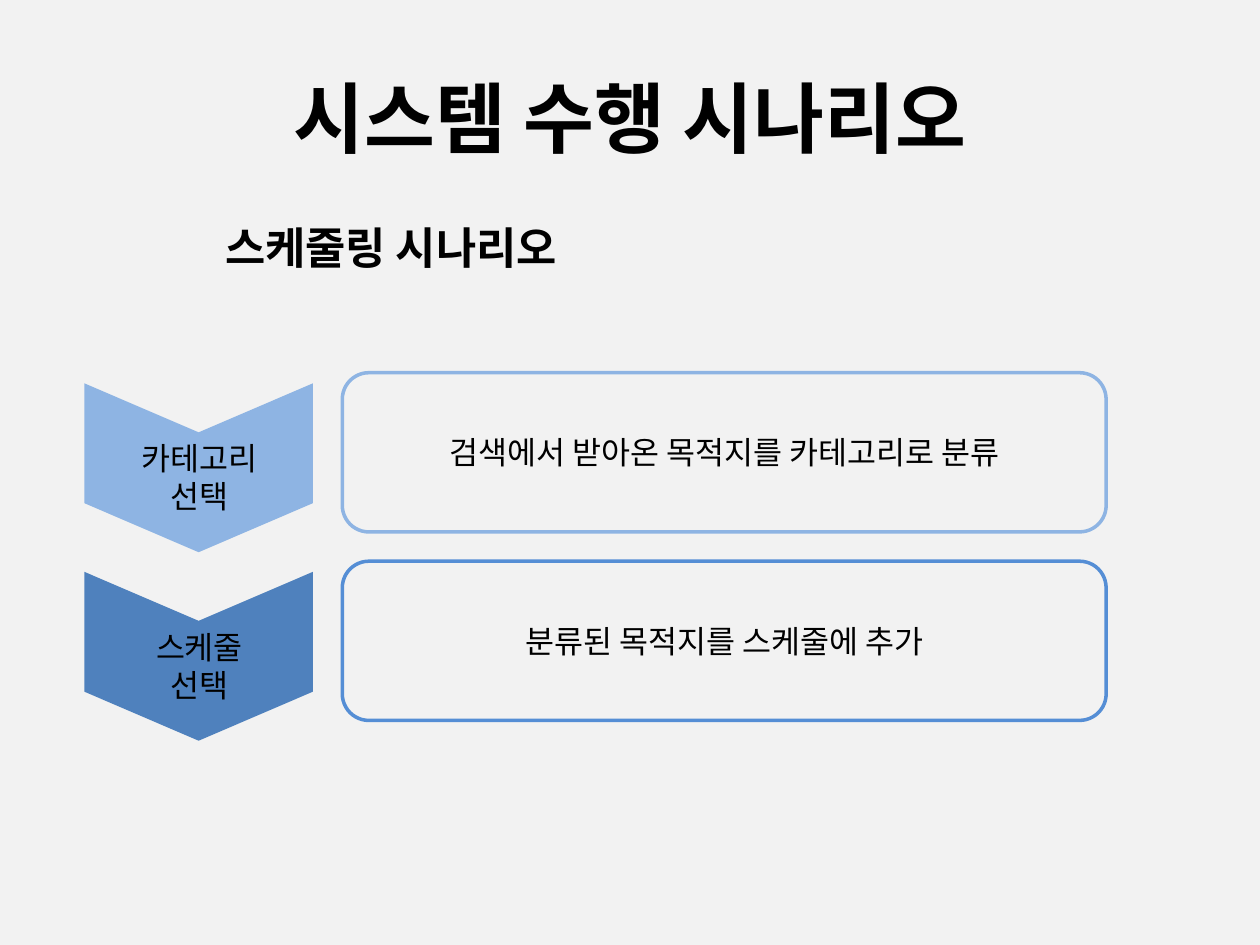
"""Build the scheduling scenario slide."""
import pptx
import pptx.util
import pptx.dml.color
import pptx.enum.shapes
import pptx.enum.text
import lxml.etree

Pt = pptx.util.Pt
Kind = pptx.enum.shapes.MSO_SHAPE
Align = pptx.enum.text.PP_ALIGN
Anchor = pptx.enum.text.MSO_ANCHOR
Fit = pptx.enum.text.MSO_AUTO_SIZE
FACE = "Noto Sans CJK KR"


def color(code):
    return pptx.dml.color.RGBColor.from_string(code)


def write(shape, text, size=18, bold=False, align=Align.CENTER,
          anchor=Anchor.MIDDLE, wrap=True, fit=Fit.NONE):
    frame = shape.text_frame
    frame.word_wrap = wrap
    frame.auto_size = fit
    frame.vertical_anchor = anchor
    frame.text = text
    for para in frame.paragraphs:
        para.alignment = align
        for run in para.runs:
            font = run.font
            font.name = FACE
            font.size = Pt(size)
            font.bold = bold
            font.color.rgb = color("000000")
            tag = pptx.oxml.ns.qn("a:ea")
            lxml.etree.SubElement(run._r.get_or_add_rPr(), tag, typeface=FACE)


deck = pptx.Presentation()
deck.slide_width = Pt(720)
deck.slide_height = Pt(540)
slide = deck.slides.add_slide(deck.slide_layouts[6])
slide.background.fill.solid()
slide.background.fill.fore_color.rgb = color("F2F2F2")
shapes = slide.shapes

title = shapes.add_textbox(Pt(36), Pt(21.6), Pt(648), Pt(90))
write(title, "시스템 수행 시나리오", size=44, bold=True)

steps = [
    ("카테고리\n선택", 87, "8EB4E3", "8EB4E3",
     "검색에서 받아온 목적지를 카테고리로 분류"),
    ("스케줄\n선택", 69, "4F81BD", "558ED5",
     "분류된 목적지를 스케줄에 추가"),
]
mid = 113.5
for row, (label, width, fill, edge, detail) in enumerate(steps):
    top = 213 + row * 107.7

    arrow = shapes.add_shape(
        Kind.CHEVRON, Pt(mid - 48.25), Pt(top - 10.9), Pt(96.5), Pt(130.5))
    arrow.rotation = 90
    arrow.adjustments[0] = 0.29
    arrow.shadow.inherit = False
    arrow.fill.solid()
    arrow.fill.fore_color.rgb = color(fill)
    arrow.line.fill.background()

    name = shapes.add_textbox(
        Pt(mid + 0.5 - width / 2), Pt(top + 34.5), Pt(width), Pt(51))
    write(name, label, anchor=Anchor.TOP, wrap=False, fit=Fit.SHAPE_TO_FIT_TEXT)

    card = shapes.add_shape(
        Kind.ROUNDED_RECTANGLE, Pt(195.6), Pt(top), Pt(436.5), Pt(91))
    card.shadow.inherit = False
    card.fill.background()
    card.line.color.rgb = color(edge)
    card.line.width = Pt(2)
    write(card, detail)

head = shapes.add_textbox(Pt(121.7), Pt(122.4), Pt(226.8), Pt(37.4))
write(head, "스케줄링 시나리오", size=25, bold=True, align=Align.LEFT,
      anchor=Anchor.TOP, fit=Fit.SHAPE_TO_FIT_TEXT)

deck.save("out.pptx")
